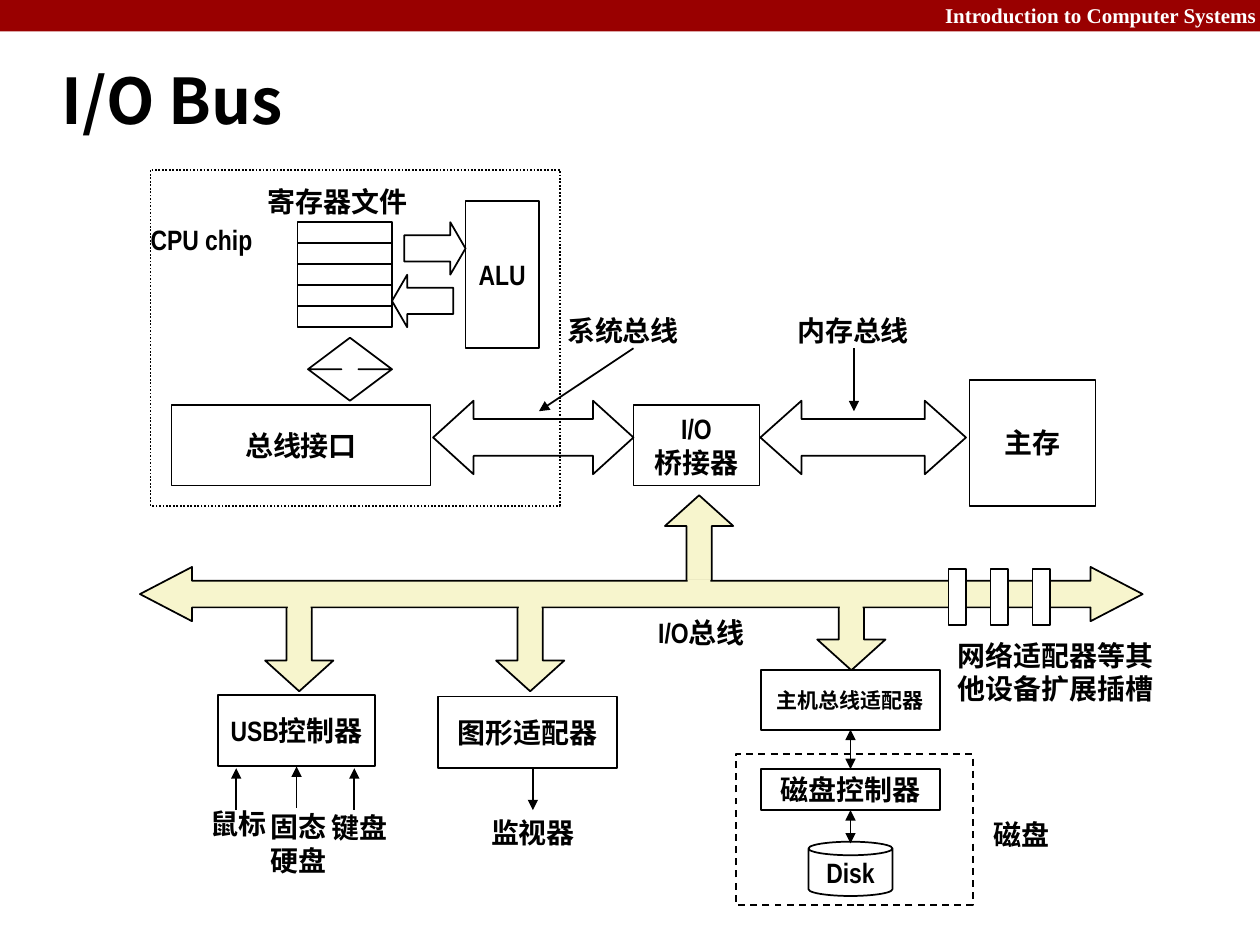
from pptx import Presentation
from pptx.dml.color import RGBColor
from pptx.enum.dml import MSO_LINE
from pptx.enum.shapes import MSO_CONNECTOR, MSO_SHAPE as SHAPE
from pptx.enum.text import MSO_ANCHOR as ANCHOR, MSO_AUTO_SIZE as AUTO, PP_ALIGN as ALIGN
from pptx.oxml.ns import qn
from pptx.util import Pt
from lxml.etree import SubElement

RED = RGBColor(0x99, 0x00, 0x00)
CREAM = RGBColor(0xF7, 0xF5, 0xCD)
WHITE = RGBColor(255, 255, 255)
BLACK = RGBColor(0, 0, 0)

prs = Presentation()
prs.slide_width, prs.slide_height = Pt(720), Pt(540)
slide = prs.slides.add_slide(prs.slide_layouts[5])
shapes = slide.shapes


def set_text(s, text, size=16, align=ALIGN.CENTER, anchor=ANCHOR.MIDDLE,
             wrap=False, font="Arial Narrow", color=BLACK):
    tf = s.text_frame
    tf.text = text
    tf.word_wrap = wrap
    tf.vertical_anchor = anchor
    for p in tf.paragraphs:
        p.alignment = align
        for r in p.runs:
            r.font.name, r.font.size, r.font.bold = font, Pt(size), True
            r.font.color.rgb = color
            SubElement(r.font._element, qn("a:ea"), typeface="Noto Sans CJK SC")


def add_box(kind, x, y, w, h, text=None, fill=None, line=BLACK, adj=(), size=16):
    s = shapes.add_shape(kind, Pt(x), Pt(y), Pt(w), Pt(h))
    s.shadow.inherit = False
    for i, value in enumerate(adj):
        s.adjustments[i] = value
    if fill is None:
        s.fill.background()
    else:
        s.fill.solid()
        s.fill.fore_color.rgb = fill
    if line is None:
        s.line.fill.background()
    else:
        s.line.color.rgb = line
        s.line.width = Pt(1)
    if text:
        set_text(s, text, size)
    return s


# Header band
add_box(SHAPE.RECTANGLE, 0, 0, 720, 18, fill=RED, line=None)
header = shapes.add_textbox(Pt(432), Pt(-2), Pt(293), Pt(21.8))
set_text(header, "Introduction to Computer Systems", 12, ALIGN.RIGHT,
         ANCHOR.TOP, True, "Times New Roman", WHITE)

# Title
title = shapes.title
title.left, title.top, title.width, title.height = Pt(28), Pt(26.5), Pt(598), Pt(60)
set_text(title, "I/O Bus", 36, ALIGN.LEFT, wrap=True, font="Noto Sans CJK SC")

# CPU chip with register file and ALU
chip = add_box(SHAPE.RECTANGLE, 86, 97, 234, 192)
chip.line.dash_style = MSO_LINE.ROUND_DOT
for row in range(5):
    add_box(SHAPE.RECTANGLE, 170, 127 + 12 * row, 54, 12)
add_box(SHAPE.RIGHT_ARROW, 231, 127, 35, 30, adj=(0.5, 0.29))
add_box(SHAPE.LEFT_ARROW, 224, 157, 35, 30, adj=(0.5, 0.29))
add_box(SHAPE.UP_DOWN_ARROW, 176, 193, 48, 36, adj=(0.5, 0.2))
add_box(SHAPE.RECTANGLE, 266, 115, 42, 84, "ALU")

# System bus and memory bus
add_box(SHAPE.RECTANGLE, 98, 231.5, 148, 46, "总线接口")
add_box(SHAPE.LEFT_RIGHT_ARROW, 247.5, 229, 114.5, 42, adj=(0.5, 0.55))
add_box(SHAPE.RECTANGLE, 362, 231.5, 72, 46, "I/O\n桥接器")
add_box(SHAPE.LEFT_RIGHT_ARROW, 434.5, 229, 117.5, 42, adj=(0.5, 0.56))
add_box(SHAPE.RECTANGLE, 554, 217, 72, 72, "主存")

# Branch arrows of the I/O bus: kind, left, top, height
branches = [
    (SHAPE.UP_ARROW, 380, 283, 54),
    (SHAPE.DOWN_ARROW, 151.5, 341, 54),
    (SHAPE.DOWN_ARROW, 283.5, 341, 54),
    (SHAPE.DOWN_ARROW, 467, 341, 42),
]
for kind, x, y, h in branches:
    add_box(kind, x, y, 39, h, fill=CREAM, adj=(0.37, 0.45))

# I/O bus, with patches that open it to its branches
add_box(SHAPE.LEFT_RIGHT_ARROW, 80, 324, 573, 31, fill=CREAM, adj=(0.49, 0.96))
for kind, x, y, h in branches:
    patch_top = 331 if kind == SHAPE.UP_ARROW else 337
    add_box(SHAPE.RECTANGLE, x + 13, patch_top, 13, 12, fill=CREAM, line=None)

# Expansion slots
for i in range(3):
    add_box(SHAPE.RECTANGLE, 542 + 24 * i, 325, 10, 32, fill=WHITE)

# Controllers and adapters
usb = add_box(SHAPE.RECTANGLE, 124.5, 397, 90, 41, "USB控制器")
add_box(SHAPE.RECTANGLE, 250.5, 398, 102, 41, "图形适配器")
host = add_box(SHAPE.RECTANGLE, 435, 383, 102, 34, "主机总线适配器", size=12)

# Disk
disk_frame = add_box(SHAPE.RECTANGLE, 420.5, 431, 135.5, 86)
disk_frame.line.dash_style = MSO_LINE.DASH
disk_control = add_box(SHAPE.RECTANGLE, 435, 439.5, 102, 23.5, "磁盘控制器")
add_box(SHAPE.CAN, 462, 481, 48, 31, "Disk", adj=(0.25,))

# Lines: ends, arrowheads, joined boxes as (box, side)
lines = [
    ((362, 199), (308, 235), ["tailEnd"], None, None),
    ((488, 199), (488, 235), ["tailEnd"], None, None),
    ((135, 439), (135, 463), ["headEnd"], None, None),
    ((169.5, 438), (169.5, 462), ["headEnd"], (usb, 2), None),
    ((202.5, 439), (202.5, 463), ["headEnd"], None, None),
    ((304.5, 439), (304.5, 463), ["tailEnd"], None, None),
    ((486, 417), (486, 439.5), ["headEnd", "tailEnd"], (host, 2), (disk_control, 0)),
    ((486, 463), (486, 482), ["headEnd", "tailEnd"], (disk_control, 2), None),
]
for (x1, y1), (x2, y2), heads, begin, end in lines:
    c = shapes.add_connector(MSO_CONNECTOR.STRAIGHT, Pt(x1), Pt(y1), Pt(x2), Pt(y2))
    if begin:
        c.begin_connect(*begin)
    if end:
        c.end_connect(*end)
    c.line.color.rgb = BLACK
    c.line.width = Pt(1)
    for head in heads:
        SubElement(c.line._get_or_add_ln(), qn("a:" + head), type="triangle")
    SubElement(c._element.spPr, qn("a:effectLst"))

# Labels
for text, x, y, w, h, align in [
    ("CPU chip", 79, 123, 86, 27, ALIGN.LEFT),
    ("寄存器文件", 145.5, 101.5, 95, 27, ALIGN.CENTER),
    ("系统总线", 317, 175, 79, 27, ALIGN.LEFT),
    ("内存总线", 448.5, 175, 79, 27, ALIGN.LEFT),
    ("I/O总线", 369, 348, 68, 27, ALIGN.LEFT),
    ("鼠标", 113, 457, 47, 27, ALIGN.CENTER),
    ("固态\n硬盘", 147, 459, 47, 46, ALIGN.CENTER),
    ("键盘", 182, 459, 47, 27, ALIGN.CENTER),
    ("监视器", 273, 462, 63, 27, ALIGN.CENTER),
    ("磁盘", 560, 463, 47, 27, ALIGN.CENTER),
    ("网络适配器等其他设备扩展插槽", 538.5, 361, 129.5, 46, ALIGN.CENTER),
]:
    label = shapes.add_textbox(Pt(x), Pt(y), Pt(w), Pt(h))
    set_text(label, text, align=align, wrap=len(text) > 10)
    label.text_frame.auto_size = AUTO.SHAPE_TO_FIT_TEXT

prs.save("out.pptx")
